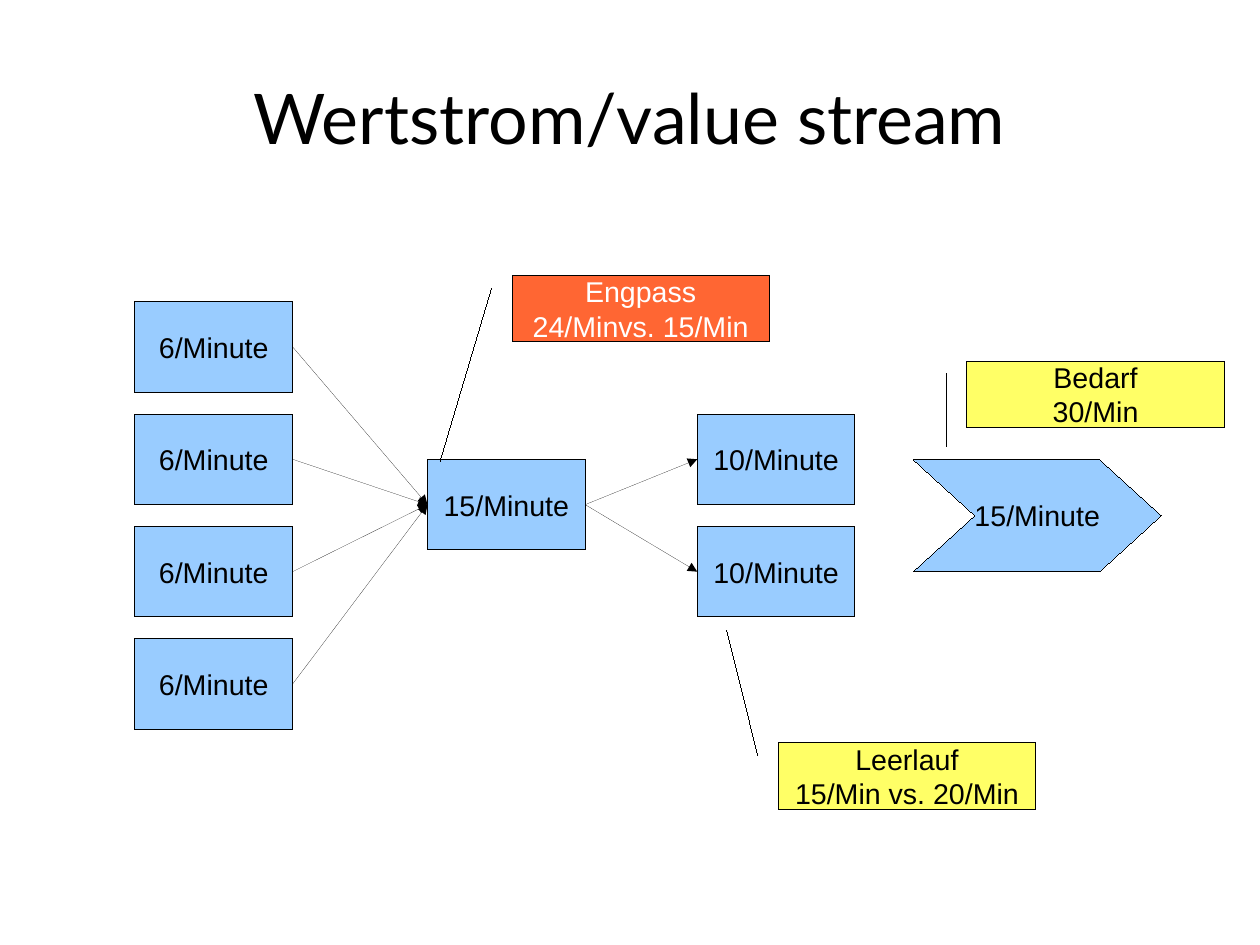
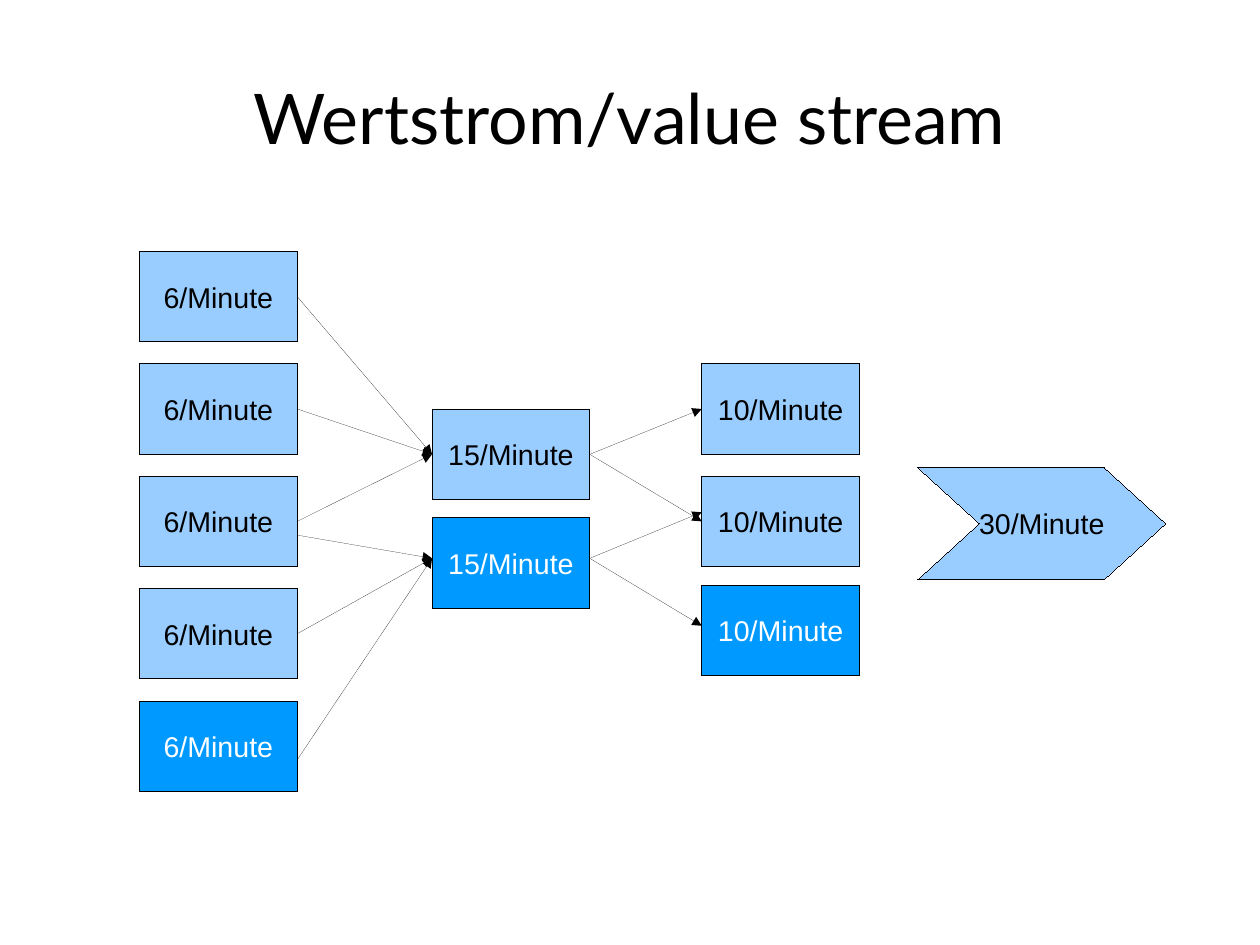
from lxml.etree import SubElement
from pptx import Presentation
from pptx.dml.color import RGBColor
from pptx.enum.shapes import MSO_CONNECTOR, MSO_SHAPE
from pptx.enum.text import MSO_ANCHOR, PP_ALIGN
from pptx.oxml.ns import qn
from pptx.util import Inches, Pt

COLORS = {
    "black": "000000",
    "white": "FFFFFF",
    "station": "99CCFF",
    "added": "0099FF",
    "note": "FFFF66",
    "bottleneck": "FF6633",
}
CM_PER_INCH = 2.54
HAIRLINE = Pt(0.01)
TITLE = "Wertstrom/value stream"
BOX_WIDTH, BOX_HEIGHT = 1.38, 0.79
PITCH = (5.59 - 2.64) / 3
RIGHT_SIDE, LEFT_SIDE = 3, 1

# Column left edge and label, the same on both slides apart from the shift
COLUMNS = {"supply": (1.18, "6/Minute"), "center": (3.74, "15/Minute"), "finish": (6.1, "10/Minute")}

# Links: start column, start row, end column, end row, start and end offset from mid-side
SLIDES = [
    {
        "shift": 0,
        "tops": {
            "supply": [2.64 + PITCH * row for row in range(4)],
            "center": [4.02],
            "finish": [2.64 + PITCH * row for row in (1, 2)],
        },
        "added": [],
        "links": [("supply", row, "center", 0, 0, 0) for row in range(4)]
        + [("center", 0, "finish", row, 0, 0) for row in range(2)],
        "demand": ("15/Minute", 4.02),
        "callouts": [
            (6.81, 6.5, "note", "black", "Leerlauf\n15/Min vs. 20/Min", (-1.69, -0.2)),
            (4.48, 2.41, "bottleneck", "white", "Engpass\n24/Minvs. 15/Min", (2.8, -0.28)),
            (8.46, 3.16, "note", "black", "Bedarf\n30/Min", (1.29, -0.08)),
        ],
    },
    {
        "shift": 0.04,
        "tops": {
            "supply": [2.2 + PITCH * row for row in range(5)],
            "center": [3.58, 4.53],
            "finish": [2.2 + PITCH, 2.2 + PITCH * 2, 5.12],
        },
        "added": [("supply", 4), ("center", 1), ("finish", 2)],
        "links": [("supply", row, "center", 0, 0, 0) for row in range(3)]
        + [("center", 0, "finish", row, 0, 0) for row in range(2)]
        + [
            ("supply", 2, "center", 1, 0.12, -0.04),
            ("supply", 3, "center", 1, 0, -0.04),
            ("supply", 4, "center", 1, 0.12, -0.04),
            ("center", 1, "finish", 1, -0.04, -0.08),
            ("center", 1, "finish", 2, -0.04, -0.04),
        ],
        "demand": ("30/Minute", 4.09),
        "callouts": [],
    },
]


def write_text(shape, text, size, font_name, color, wrap=True):
    frame = shape.text_frame
    frame.text = text
    frame.word_wrap = wrap
    frame.vertical_anchor = MSO_ANCHOR.MIDDLE
    for paragraph in frame.paragraphs:
        paragraph.alignment = PP_ALIGN.CENTER
        paragraph.font.size = Pt(size)
        paragraph.font.name = font_name
        paragraph.font.color.rgb = RGBColor.from_string(COLORS[color])


def add_figure(slide, kind, bounds, fill, text, color="black", wrap=True):
    """Add a filled preset shape with a hairline border and centred text."""
    shape = slide.shapes.add_shape(kind, *map(Inches, bounds))
    shape.shadow.inherit = False
    shape.fill.solid()
    shape.fill.fore_color.rgb = RGBColor.from_string(COLORS[fill])
    shape.line.color.rgb = RGBColor.from_string(COLORS["black"])
    shape.line.width = HAIRLINE
    write_text(shape, text, 18, "Arial", color, wrap)
    return shape


presentation = Presentation()
presentation.slide_width = Inches(28 / CM_PER_INCH)
presentation.slide_height = Inches(21 / CM_PER_INCH)

for content in SLIDES:
    slide = presentation.slides.add_slide(presentation.slide_layouts[6])
    shift = content["shift"]

    title = slide.shapes.add_textbox(Inches(0.55), Inches(0.38), Inches(9.92), Inches(1.28))
    for margin in ("margin_left", "margin_top", "margin_right", "margin_bottom"):
        setattr(title.text_frame, margin, 0)
    write_text(title, TITLE, 44, "Lato", "black")

    boxes = {}
    for column, (left, label) in COLUMNS.items():
        for row, top in enumerate(content["tops"][column]):
            is_added = (column, row) in content["added"]
            boxes[column, row] = add_figure(
                slide, MSO_SHAPE.RECTANGLE, (left + shift, top, BOX_WIDTH, BOX_HEIGHT),
                "added" if is_added else "station", label, "white" if is_added else "black")

    for start_column, start_row, end_column, end_row, start_offset, end_offset in content["links"]:
        start, end = boxes[start_column, start_row], boxes[end_column, end_row]
        arrow = slide.shapes.add_connector(
            MSO_CONNECTOR.STRAIGHT,
            start.left + start.width, start.top + start.height // 2 + Inches(start_offset),
            end.left, end.top + end.height // 2 + Inches(end_offset))
        if not start_offset:
            arrow.begin_connect(start, RIGHT_SIDE)
        if not end_offset:
            arrow.end_connect(end, LEFT_SIDE)
        arrow.line.color.rgb = RGBColor.from_string(COLORS["black"])
        arrow.line.width = HAIRLINE
        properties = arrow.element.spPr
        SubElement(properties.find(qn("a:ln")), qn("a:tailEnd"), type="triangle")
        SubElement(properties, qn("a:effectLst"))

    demand_label, demand_top = content["demand"]
    demand = add_figure(slide, MSO_SHAPE.CHEVRON, (7.99 + shift, demand_top, 2.17, 0.98),
                        "station", demand_label, wrap=False)
    demand.adjustments[0] = 0.55

    for left, top, fill, color, text, target in content["callouts"]:
        callout = add_figure(slide, MSO_SHAPE.LINE_CALLOUT_1, (left, top, 2.25, 0.58),
                             fill, text, color, wrap=False)
        for index, value in enumerate((0.19, -0.08, *target)):
            callout.adjustments[index] = value

presentation.save("out.pptx")
